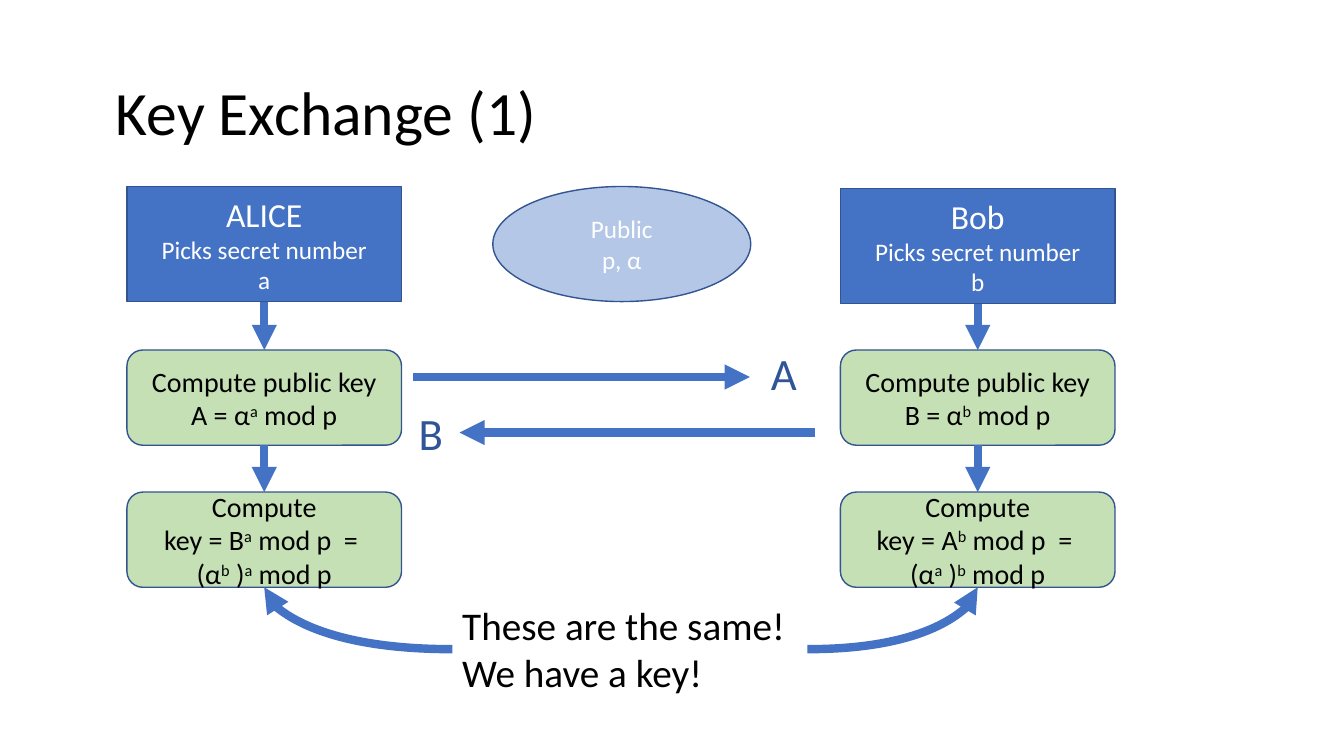
from lxml import etree
from pptx import Presentation
from pptx import util as u
from pptx.dml.color import RGBColor
from pptx.enum import shapes, text
from pptx.oxml.ns import qn

BLUE = RGBColor(0x44, 0x72, 0xC4)
OUTLINE = RGBColor(0x32, 0x54, 0x91)
PALE_BLUE = RGBColor(0xB4, 0xC7, 0xE7)
GREEN = RGBColor(0xC5, 0xE0, 0xB4)
LETTER = RGBColor(0x2F, 0x55, 0x97)
WHITE = RGBColor(0xFF, 0xFF, 0xFF)
BLACK = RGBColor(0x00, 0x00, 0x00)

prs = Presentation()
prs.slide_width, prs.slide_height = u.Cm(33.87), u.Cm(19.05)
s = prs.slides.add_slide(prs.slide_layouts[6])


def write(sp, lines, color, align=text.PP_ALIGN.LEFT, anchor=text.MSO_ANCHOR.TOP):
    """Write (text, size) lines; every second part between bars is superscript."""
    tf = sp.text_frame
    tf.word_wrap = True
    tf.vertical_anchor = anchor
    for i, (line, size) in enumerate(lines):
        p = tf.paragraphs[0] if i == 0 else tf.add_paragraph()
        p.alignment = align
        for j, part in enumerate(line.split("|")):
            r = p.add_run()
            r.text = part
            r.font.name, r.font.size = "Calibri", u.Pt(size)
            r.font.color.rgb = color
            if j % 2:
                r._r.get_or_add_rPr().set("baseline", "30000")


def arrow(kind, x1, y1, x2, y2):
    c = s.shapes.add_connector(kind, u.Cm(x1), u.Cm(y1), u.Cm(x2), u.Cm(y2))
    c.line.color.rgb = BLUE
    c.line.width = u.Pt(6)
    etree.SubElement(c.line._get_or_add_ln(), qn("a:tailEnd"), type="triangle")
    etree.SubElement(c._element.spPr, qn("a:effectLst"))
    return c


STRAIGHT, CURVE = shapes.MSO_CONNECTOR.STRAIGHT, shapes.MSO_CONNECTOR.CURVE
RECT = shapes.MSO_SHAPE.RECTANGLE
ROUND = shapes.MSO_SHAPE.ROUNDED_RECTANGLE
OVAL = shapes.MSO_SHAPE.OVAL

# Title, exchanged public keys and conclusion
for x, y, w, h, lines, color in [
    (2.67, 1.07, 29.21, 3.68, [("Key Exchange (1)", 44)], BLACK),
    (19.18, 8.59, 1.75, 1.62, [("A", 32)], LETTER),
    (10.3, 10.09, 1.75, 1.62, [("B", 32)], LETTER),
    (11.4, 15.02, 8.96, 2.65,
     [("These are the same!", 28), ("We have a key!", 28)], BLACK),
]:
    sp = s.shapes.add_textbox(u.Cm(x), u.Cm(y), u.Cm(w), u.Cm(h))
    write(sp, lines, color)
    if y < 2:
        sp.text_frame.vertical_anchor = text.MSO_ANCHOR.MIDDLE
        sp.text_frame.paragraphs[0].line_spacing = 0.9

# Boxes: one column per person, plus the public values
BOX_W, PARTY_H, STEP_H = 6.92, 2.9, 2.4
STEP_Y = (8.82, 12.4)
boxes = [(OVAL, 12.42, 4.7, 6.5, PARTY_H, PALE_BLUE, WHITE,
          [("Public", 18), ("p, α", 18)])]
for x, y, name, own, other, public, received in [
    (3.2, 4.7, "ALICE", "a", "b", "A", "B"),
    (21.18, 4.75, "Bob", "b", "a", "B", "A"),
]:
    boxes += [
        (RECT, x, y, BOX_W, PARTY_H, BLUE, WHITE,
         [(name, 24), ("Picks secret number", 18), (own, 18)]),
        (ROUND, x, STEP_Y[0], BOX_W, STEP_H, GREEN, BLACK,
         [("Compute public key", 20), (f"{public} = α|{own}| mod p", 20)]),
        (ROUND, x, STEP_Y[1], BOX_W, STEP_H, GREEN, BLACK,
         [("Compute", 20), (f"key = {received}|{own}| mod p  = ", 20),
          (f"(α|{other}| )|{own}| mod p", 20)]),
    ]

drawn = []
for kind, x, y, w, h, fill, color, lines in boxes:
    sp = s.shapes.add_shape(kind, u.Cm(x), u.Cm(y), u.Cm(w), u.Cm(h))
    sp.shadow.inherit = False
    sp.fill.solid()
    sp.fill.fore_color.rgb = fill
    sp.line.color.rgb = OUTLINE
    sp.line.width = u.Pt(1)
    write(sp, lines, color, text.PP_ALIGN.CENTER, text.MSO_ANCHOR.MIDDLE)
    drawn.append(sp)

# Arrows down each column
for column in (drawn[1:4], drawn[4:7]):
    for upper, lower in zip(column, column[1:]):
        c = arrow(STRAIGHT, 0, 0, 1, 1)
        c.begin_connect(upper, 2)
        c.end_connect(lower, 0)

# Arrows carrying the public keys across
arrow(STRAIGHT, 10.41, 9.5, 18.9, 9.5)
arrow(STRAIGHT, 20.55, 10.9, 11.58, 10.9)

# Curved arrows from the conclusion to both keys
for x1, x2 in [(11.4, 6.66), (20.35, 24.64)]:
    c = arrow(CURVE, x1, 16.36, x2, STEP_Y[1] + STEP_H)
    c._element.spPr.find(qn("a:prstGeom")).set("prst", "curvedConnector2")

prs.save("out.pptx")
